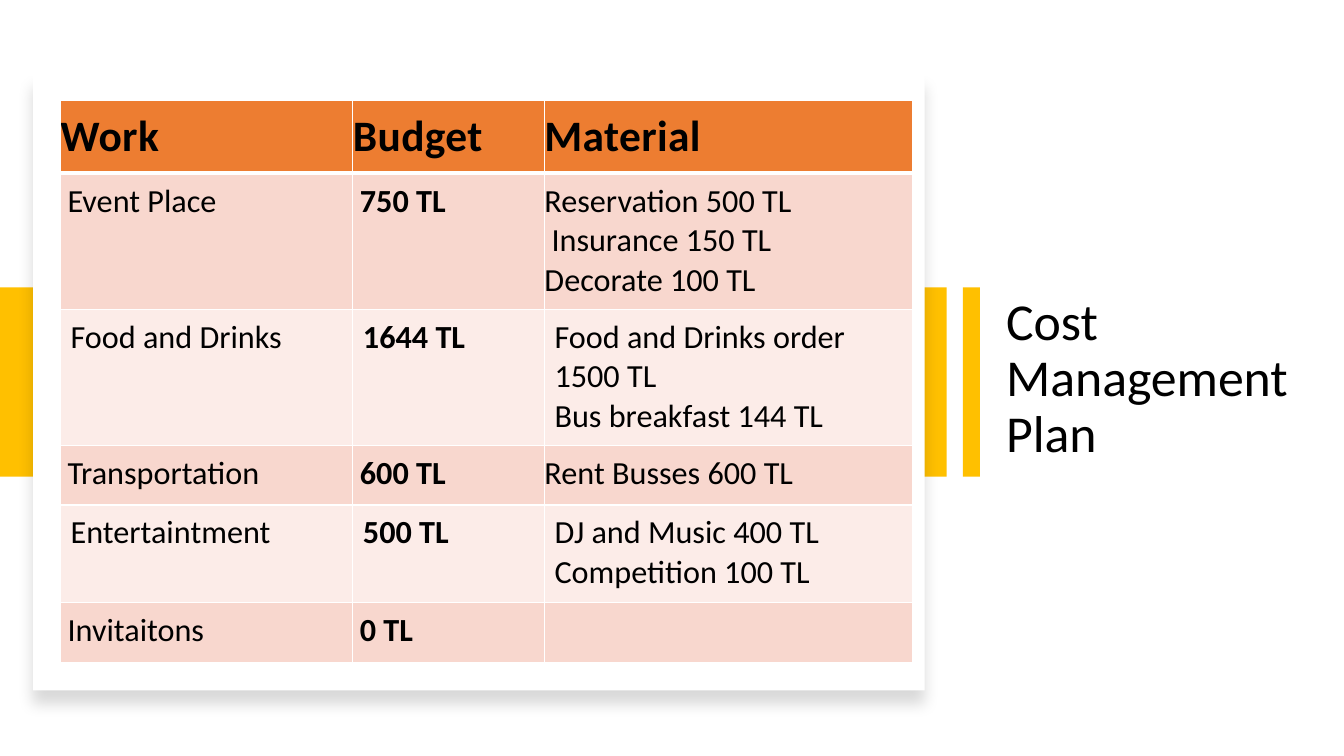
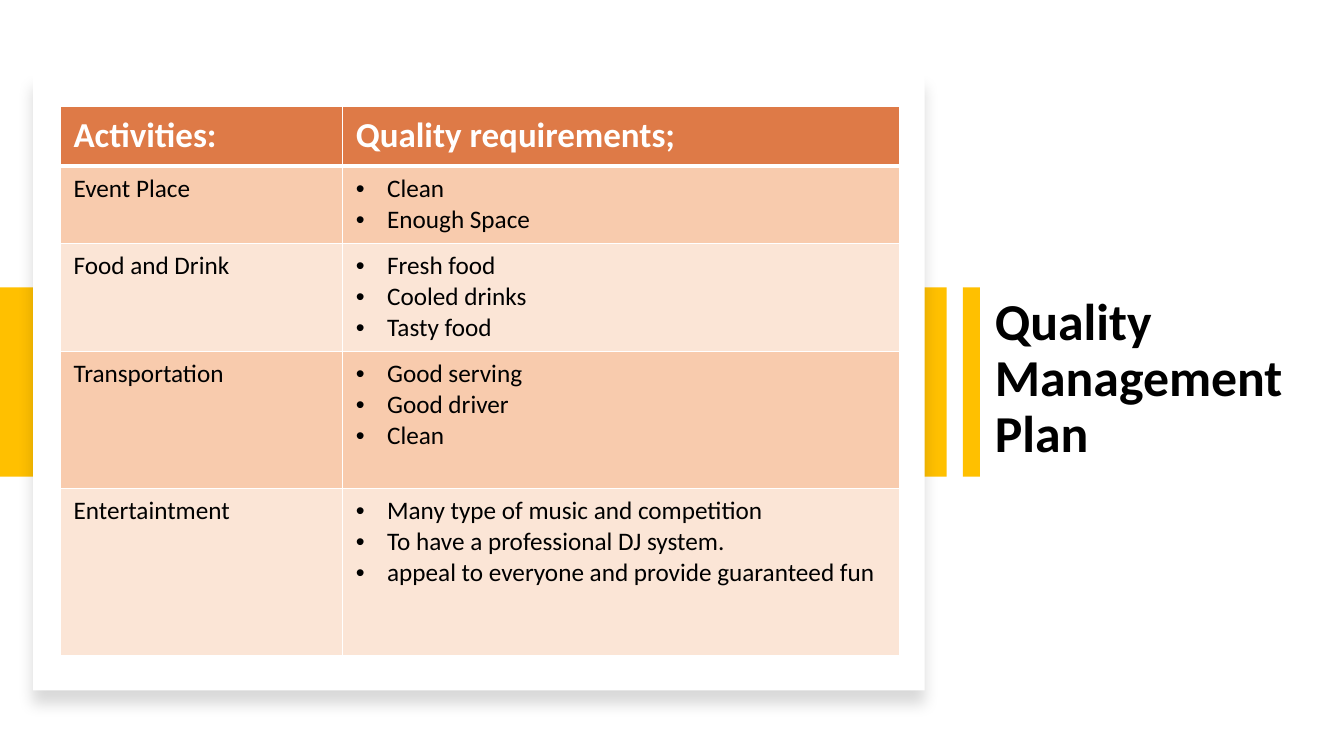
import pptx
import pptx.util
import pptx.dml.color
import pptx.enum.shapes
import pptx.enum.text
import pptx.oxml

Inches, Pt = pptx.util.Inches, pptx.util.Pt
MIDDLE = pptx.enum.text.MSO_ANCHOR.MIDDLE
NS = 'xmlns:a="http://schemas.openxmlformats.org/drawingml/2006/main"'

# Shared look
FONT, BLACK, WHITE, AMBER = "Calibri", "000000", "FFFFFF", "FFC000"
SIZE = (13.33, 7.5)
BAND = (0, 2.85, 9.39, 1.88)
CARD = (0.33, 0.73, 8.84, 6.12)
BAR = (9.55, 2.85, 0.17, 1.88)
TITLE_TOP, TITLE_HEIGHT, TITLE_SIZE = 2.21, 3.11, 37
TABLE_LEFT = 0.6
SPACE = 0.07  # small step that sets some budget lines in


def budget_insets(row, col):
    """Left, top, right, bottom margins of a budget cell."""
    if row == 0:
        return 0, 0.08, 0.02, 0.08
    if row % 2 == 0:
        return 0.1, 0.08, 0.15, 0.08
    return (SPACE if col < 2 else 0), 0.08, 0.15, 0.08


def quality_insets(row, col):
    return 0.13, 0.07, 0.13, 0.07


# Content: each cell is a list of lines; a (text, indent) pair is set in
PLANS = [
    dict(
        title="Cost Management Plan", title_bold=False, title_left=9.88, title_width=3.12,
        top=1, cols=[2.9, 1.9, 3.65], heights=[0.72, 1.35, 1.35, 0.59, 0.97, 0.59],
        head=dict(size=31, color=BLACK, fill="ED7D31", spacing=30, anchor=MIDDLE),
        body_size=23, stripes=["F8D7CE", "FCECE8"], insets=budget_insets,
        bold_col=1, bullet_col=None,
        rows=[
            [["Work"], ["Budget"], ["Material"]],
            [["Event Place"], ["750 TL"],
             ["Reservation 500 TL", ("Insurance 150 TL", SPACE), "Decorate 100 TL"]],
            [["Food and Drinks"], ["1644 TL"],
             ["Food and Drinks order 1500 TL", "Bus breakfast 144 TL"]],
            [["Transportation"], ["600 TL"], ["Rent Busses 600 TL"]],
            [["Entertaintment"], ["500 TL"], ["DJ and Music 400 TL", "Competition 100 TL"]],
            [["Invitaitons"], ["0 TL"], []],
        ],
    ),
    dict(
        title="Quality Management Plan", title_bold=True, title_left=9.77, title_width=3.43,
        top=1.06, cols=[2.8, 5.52], heights=[0.59, 0.77, 1.07, 1.36, 1.66],
        head=dict(size=25, color=WHITE, fill="DE7A47", spacing=0, anchor=None),
        body_size=18, stripes=["F8CBAD", "FBE5D6"], insets=quality_insets,
        bold_col=None, bullet_col=1,
        rows=[
            [["Activities:"], ["Quality requirements;"]],
            [["Event Place"], ["Clean", "Enough Space"]],
            [["Food and Drink"], ["Fresh food", "Cooled drinks", "Tasty food"]],
            [["Transportation"], ["Good serving", "Good driver", "Clean"]],
            [["Entertaintment"],
             ["Many type of music and competition", "To have a professional DJ system.",
              "appeal to everyone and provide guaranteed fun"]],
        ],
    ),
]


def rgb(value):
    return pptx.dml.color.RGBColor.from_string(value)


def xml(text):
    return pptx.oxml.parse_xml(text)


def add_run(p, text, size, color, bold):
    r = p.add_run()
    r.text = text
    r.font.name, r.font.size, r.font.bold = FONT, Pt(size), bold
    r.font.color.rgb = rgb(color)
    return r


def add_box(s, at, fill):
    sp = s.shapes.add_shape(pptx.enum.shapes.MSO_SHAPE.RECTANGLE, *map(Inches, at))
    sp.shadow.inherit = False
    sp.fill.solid()
    sp.fill.fore_color.rgb = rgb(fill)
    sp.line.fill.background()
    return sp


def add_frame(s):
    """Amber band, white card with a soft shadow, amber bar."""
    add_box(s, BAND, AMBER)
    card = add_box(s, CARD, WHITE)
    effects = card.fill._xPr.find(pptx.oxml.ns.qn("a:effectLst"))
    effects.append(xml(
        f'<a:outerShdw {NS} blurRad="{Pt(11)}" dist="{Pt(10)}" dir="5400000" algn="t" '
        f'rotWithShape="0"><a:srgbClr val="{BLACK}"><a:alpha val="15000"/></a:srgbClr>'
        '</a:outerShdw>'))
    add_box(s, BAR, AMBER)


def add_title(s, plan):
    sp = s.shapes.add_textbox(*map(Inches, (
        plan["title_left"], TITLE_TOP, plan["title_width"], TITLE_HEIGHT)))
    tf = sp.text_frame
    tf.word_wrap, tf.vertical_anchor = True, MIDDLE
    p = tf.paragraphs[0]
    p.line_spacing, p.space_after = 0.9, Pt(6)
    add_run(p, plan["title"], TITLE_SIZE, BLACK, plan["title_bold"])


def style_cell(cell, fill, insets, row):
    cell.fill.solid()
    cell.fill.fore_color.rgb = rgb(fill)
    (cell.margin_left, cell.margin_top,
     cell.margin_right, cell.margin_bottom) = map(Inches, insets)
    # White rules, thicker between the header and the body
    widths = dict(L=1, R=1, T=3 if row == 1 else 1, B=3 if row == 0 else 1)
    tc_pr = cell._tc.get_or_add_tcPr()
    for i, (side, width) in enumerate(widths.items()):
        tc_pr.insert(i, xml(
            f'<a:ln{side} {NS} w="{Pt(width)}"><a:solidFill><a:srgbClr val="{WHITE}"/>'
            f'</a:solidFill></a:ln{side}>'))


def set_indent(p, left, bullet):
    p_pr = p._p.get_or_add_pPr()
    p_pr.set("marL", str(Inches(left)))
    if bullet:
        p_pr.set("indent", str(-Inches(left)))
        p_pr.append(xml(f'<a:buFont {NS} typeface="Arial"/>'))
        p_pr.append(xml(f'<a:buChar {NS} char="•"/>'))


def fill_cell(cell, lines, plan, row, col):
    head = plan["head"]
    is_head = row == 0
    fill = head["fill"] if is_head else plan["stripes"][(row - 1) % 2]
    style_cell(cell, fill, plan["insets"](row, col), row)
    if is_head and head["anchor"]:
        cell.vertical_anchor = head["anchor"]
    bullet = not is_head and col == plan["bullet_col"]
    size, color = (head["size"], head["color"]) if is_head else (plan["body_size"], BLACK)
    tf = cell.text_frame
    for i, line in enumerate(lines):
        text, indent = line if isinstance(line, tuple) else (line, 0)
        p = tf.paragraphs[0] if i == 0 else tf.add_paragraph()
        if bullet or indent:
            set_indent(p, 0.31 if bullet else indent, bullet)
        r = add_run(p, text, size, color, is_head or col == plan["bold_col"])
        if is_head and head["spacing"]:
            r.font._element.set("spc", str(head["spacing"]))


def add_plan_table(s, plan):
    rows, cols, heights = plan["rows"], plan["cols"], plan["heights"]
    at = map(Inches, (TABLE_LEFT, plan["top"], sum(cols), sum(heights)))
    table = s.shapes.add_table(len(rows), len(cols), *at).table
    for column, width in zip(table.columns, cols):
        column.width = Inches(width)
    for row, height in zip(table.rows, heights):
        row.height = Inches(height)
    for i, row in enumerate(rows):
        for j, lines in enumerate(row):
            fill_cell(table.cell(i, j), lines, plan, i, j)


def main():
    prs = pptx.Presentation()
    prs.slide_width, prs.slide_height = map(Inches, SIZE)
    for plan in PLANS:
        s = prs.slides.add_slide(prs.slide_layouts[6])
        add_title(s, plan)
        add_frame(s)
        add_plan_table(s, plan)
    prs.save("out.pptx")


if __name__ == "__main__":
    main()
